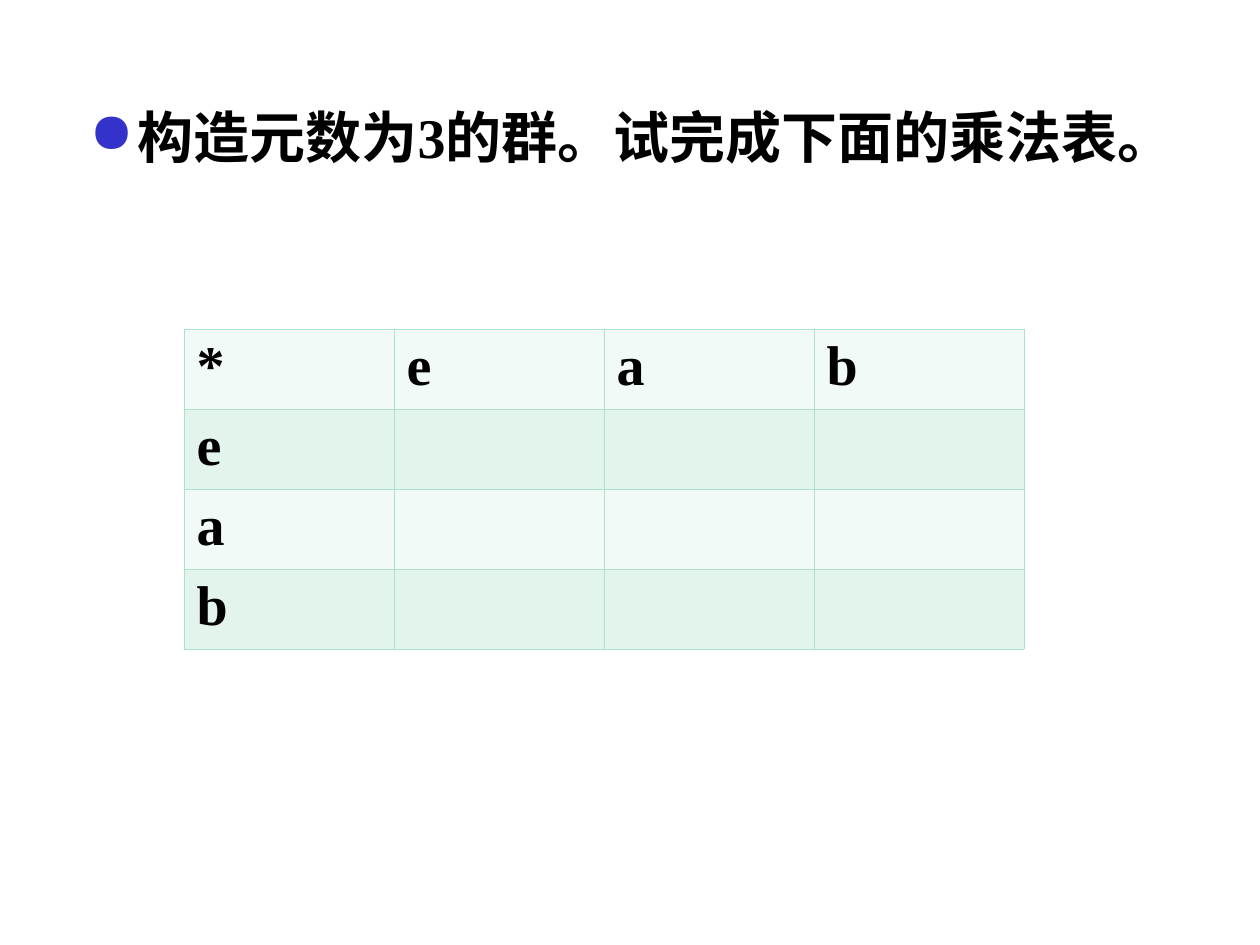
"""Build a slide with a group multiplication table to complete."""
from lxml import etree
from pptx import Presentation
from pptx.dml.color import RGBColor
from pptx.oxml import parse_xml
from pptx.oxml.ns import nsdecls, qn
from pptx.util import Pt

PX = 914400 / 126
NS = nsdecls("a")
STYLE = {"size": Pt(32), "bold": True, "name": "Times New Roman"}


def rgb(code):
    return RGBColor.from_string(code)


def write(frame, text):
    run = frame.paragraphs[0].add_run()
    run.text = text
    for key, value in STYLE.items():
        setattr(run.font, key, value)
    run.font.color.rgb = rgb("000000")
    face = etree.SubElement(run.font._element, qn("a:ea"))
    face.set("typeface", "Noto Sans CJK SC")


deck = Presentation()
deck.slide_width, deck.slide_height = round(1260 * PX), round(945 * PX)
slide = deck.slides.add_slide(deck.slide_layouts[6])

box = slide.shapes.add_textbox(*(round(n * PX) for n in (77, 96, 1144, 738)))
frame = box.text_frame
frame.word_wrap = True
props = frame.paragraphs[0]._p.get_or_add_pPr()
props.set("marL", str(round(48 * PX)))
props.set("indent", str(round(-48 * PX)))
props.append(parse_xml(f'<a:buClr {NS}><a:srgbClr val="3333CC"/></a:buClr>'))
props.append(parse_xml(f'<a:buChar {NS} char="●"/>'))
write(frame, "构造元数为3的群。试完成下面的乘法表。")

names = ["*", "e", "a", "b"]
size = len(names)
place = (round(n * PX) for n in (184, 329, 210 * size, 80 * size))
table = slide.shapes.add_table(size, size, *place).table
for i in range(size):
    for j in range(size):
        cell = table.cell(i, j)
        if i == 0 or j == 0:
            write(cell.text_frame, names[i + j])
        props = cell._tc.get_or_add_tcPr()
        for side in ("lnL", "lnR", "lnT", "lnB"):
            props.append(parse_xml(
                f'<a:{side} {NS} w="{Pt(0.45)}"><a:solidFill>'
                f'<a:srgbClr val="AAE2CA"/></a:solidFill></a:{side}>'))
        cell.fill.solid()
        cell.fill.fore_color.rgb = rgb("E2F4EC" if i % 2 else "F1FAF6")

deck.save("out.pptx")
